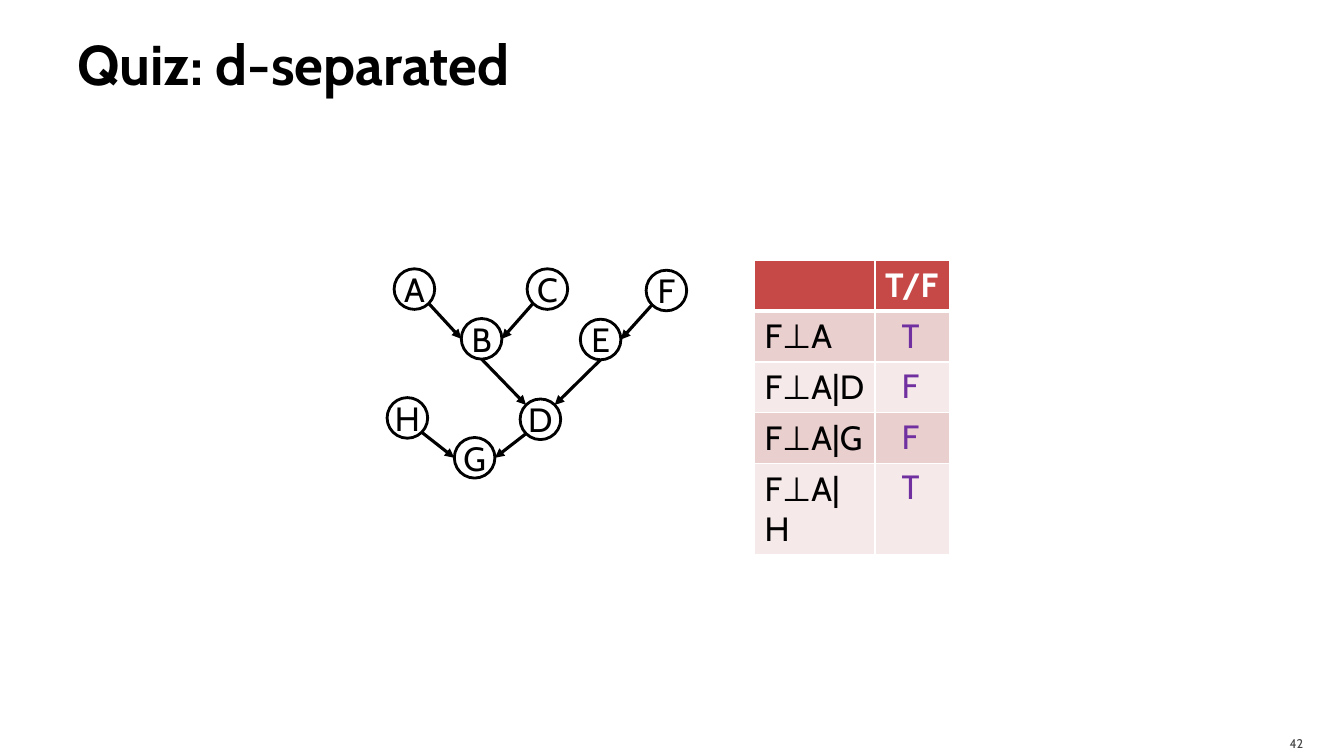
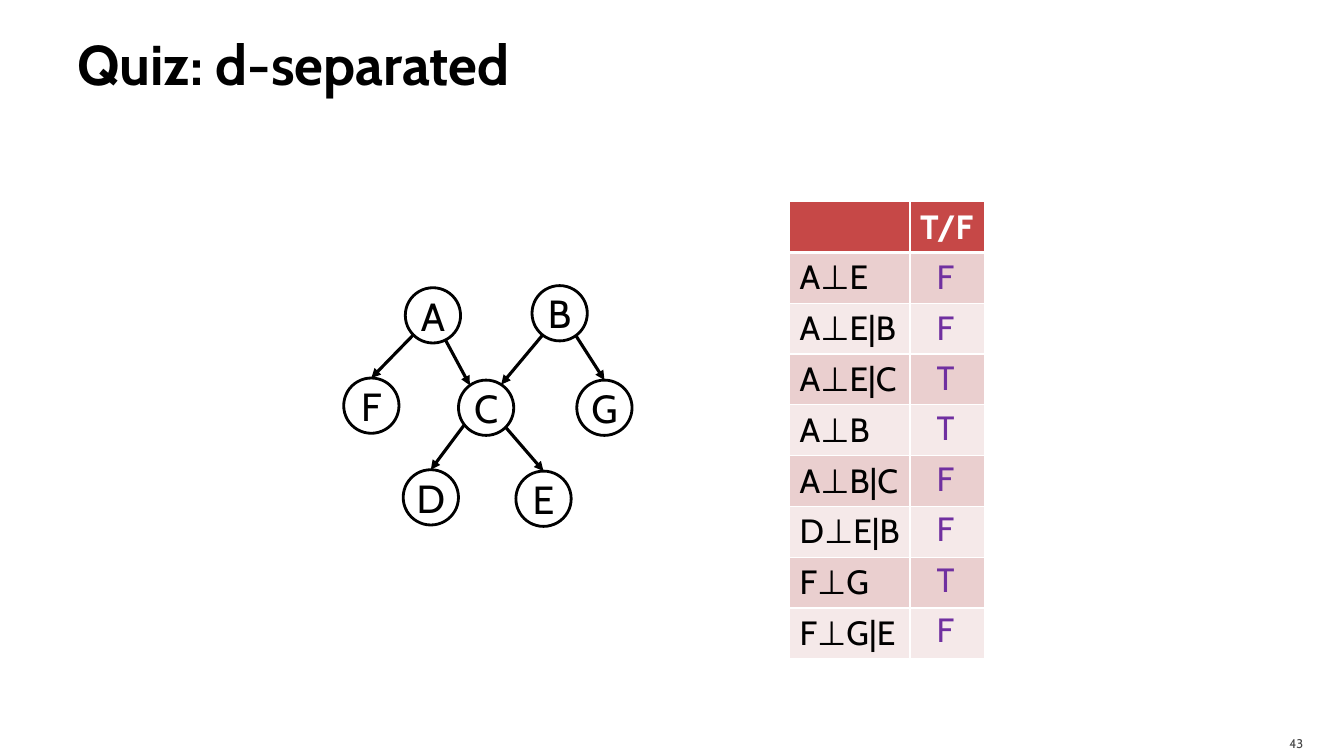
from math import cos, radians, sin

from lxml import etree
from pptx import Presentation
from pptx.dml.color import RGBColor
from pptx.enum import shapes, text
from pptx.oxml import ns
from pptx.util import Pt

BLACK = RGBColor(0x00, 0x00, 0x00)
WHITE = RGBColor(0xFF, 0xFF, 0xFF)
GREY = RGBColor(0x45, 0x45, 0x45)
PURPLE = RGBColor(0x70, 0x30, 0xA0)
RED = RGBColor(0xC6, 0x48, 0x47)
BANDS = (RGBColor(0xEA, 0xCF, 0xCF), RGBColor(0xF5, 0xE9, 0xE9))
FONT = "Cabin"

ROW_H = 36.3
COL_W = (86, 53)
ANSWER_X, ANSWER_Y, ANSWER_W, ANSWER_H = 98, 35.4, 26.6, 36

# Angles on a circle run clockwise from the right, in degrees
RIGHT, BOTTOM, LEFT, TOP = 0, 90, 180, 270
LOWER_RIGHT, LOWER_LEFT, UPPER_LEFT, UPPER_RIGHT = 45, 135, 225, 315
SITES = {TOP: 0, LEFT: 1, BOTTOM: 2, RIGHT: 3}


def add_run(p, words, size, color, bold=False):
    r = p.add_run()
    r.text = words
    f = r.font
    f.name, f.size, f.bold = FONT, Pt(size), bold
    f.color.rgb = color


def set_margins(tf, left, top, right, bottom):
    tf.margin_left, tf.margin_top = Pt(left), Pt(top)
    tf.margin_right, tf.margin_bottom = Pt(right), Pt(bottom)


def place(sp, left, top, width, height):
    sp.left, sp.top, sp.width, sp.height = Pt(left), Pt(top), Pt(width), Pt(height)


def base_slide(prs, title, number):
    """Slide with its title and page number."""
    s = prs.slides.add_slide(prs.slide_layouts[5])
    sp = s.shapes.title
    place(sp, 48, 6, 864, 78)
    tf = sp.text_frame
    tf.vertical_anchor = text.MSO_ANCHOR.MIDDLE
    set_margins(tf, 7.2, 3.6, 3.6, 3.6)
    p = tf.paragraphs[0]
    p.alignment = text.PP_ALIGN.LEFT
    add_run(p, title, 40, BLACK, True)

    tf = s.shapes.add_textbox(Pt(861), Pt(518.4), Pt(77), Pt(21.6)).text_frame
    tf.word_wrap = True
    tf.vertical_anchor = text.MSO_ANCHOR.MIDDLE
    set_margins(tf, 7.2, 3.6, 7.2, 0)
    p = tf.paragraphs[0]
    p.alignment = text.PP_ALIGN.RIGHT
    add_run(p, str(number), 9, GREY)
    return s


def add_node(s, kind, left, top, size, label, font_size):
    sp = s.shapes.add_shape(kind, Pt(left), Pt(top), Pt(size), Pt(size))
    if kind == shapes.MSO_SHAPE.ROUNDED_RECTANGLE:
        sp.adjustments[0] = 0.5
    sp.shadow.inherit = False
    sp.fill.background()
    sp.line.color.rgb = BLACK
    sp.line.width = Pt(2)
    tf = sp.text_frame
    tf.word_wrap = False
    tf.vertical_anchor = text.MSO_ANCHOR.MIDDLE
    set_margins(tf, 0, 0, 0, 0)
    p = tf.paragraphs[0]
    p.alignment = text.PP_ALIGN.CENTER
    add_run(p, label, font_size, BLACK)
    return sp


def rim_point(sp, angle):
    """Point on the round outline of a node."""
    radius = sp.width / 2
    a = radians(angle)
    return (int(sp.left + radius * (1 + cos(a))),
            int(sp.top + radius * (1 + sin(a))))


def add_arrow(s, start, start_angle, end, end_angle):
    c = s.shapes.add_connector(shapes.MSO_CONNECTOR.STRAIGHT,
                               *rim_point(start, start_angle),
                               *rim_point(end, end_angle))
    # Only rounded rectangles number their joining points as in SITES
    for sp, angle, join in ((start, start_angle, c.begin_connect),
                            (end, end_angle, c.end_connect)):
        if sp.auto_shape_type == shapes.MSO_SHAPE.ROUNDED_RECTANGLE and angle in SITES:
            join(sp, SITES[angle])
    c.line.color.rgb = BLACK
    c.line.width = Pt(2.25)
    etree.SubElement(c.line._get_or_add_ln(), ns.qn("a:tailEnd"), type="triangle")
    etree.SubElement(c._element.spPr, ns.qn("a:effectLst"))


def add_graph(s, left, top, kind, size, font_size, nodes, edges):
    """Directed graph; node places are relative to its corner."""
    placed = {label: add_node(s, kind, left + x, top + y, size, label, font_size)
              for label, (x, y) in nodes.items()}
    for start, start_angle, end, end_angle in edges:
        add_arrow(s, placed[start], start_angle, placed[end], end_angle)


def style_cell(cell, fill, bottom, top):
    tc_pr = cell._tc.get_or_add_tcPr()
    for side, width in (("L", 1), ("R", 1), ("T", top), ("B", bottom)):
        ln = etree.SubElement(tc_pr, ns.qn("a:ln" + side), w=str(Pt(width)))
        paint = etree.SubElement(ln, ns.qn("a:solidFill"))
        etree.SubElement(paint, ns.qn("a:srgbClr"), val=str(WHITE))
    cell.fill.solid()
    cell.fill.fore_color.rgb = fill


def add_quiz(s, left, top, rows):
    """Table of statements, with the answers laid over its second column."""
    n = len(rows) + 1
    tbl = s.shapes.add_table(n, 2, Pt(left), Pt(top), Pt(sum(COL_W)),
                             Pt(n * ROW_H)).table
    for col, width in zip(tbl.columns, COL_W):
        col.width = Pt(width)
    for i, row in enumerate(tbl.rows):
        row.height = Pt(ROW_H)
        for cell in row.cells:
            style_cell(cell, BANDS[(i - 1) % 2] if i else RED,
                       bottom=1 if i else 3, top=3 if i == 1 else 1)
    add_run(tbl.cell(0, 1).text_frame.paragraphs[0], "T/F", 24, WHITE, True)

    for i, (statement, answer) in enumerate(rows):
        add_run(tbl.cell(i + 1, 0).text_frame.paragraphs[0], statement, 24, BLACK)
        tf = s.shapes.add_textbox(Pt(left + ANSWER_X), Pt(top + ANSWER_Y + i * ANSWER_H),
                                  Pt(ANSWER_W), Pt(ANSWER_H)).text_frame
        tf.word_wrap = False
        tf.auto_size = text.MSO_AUTO_SIZE.SHAPE_TO_FIT_TEXT
        add_run(tf.paragraphs[0], answer, 24, PURPLE)


def collider_quiz(prs):
    s = base_slide(prs, "Quiz: d-separated", 42)
    add_quiz(s, 539, 186, [("F⊥A", "T"), ("F⊥A|D", "F"), ("F⊥A|G", "F"), ("F⊥A|H", "T")])
    add_graph(
        s, 276.5, 192, shapes.MSO_SHAPE.OVAL, 29, 24,
        {"A": (5, 0), "B": (53, 35.5), "C": (100, 0), "D": (95, 93),
         "E": (138, 36), "F": (185, 1), "H": (0, 92), "G": (48, 120.5)},
        [("A", LOWER_RIGHT, "B", LEFT), ("C", LOWER_LEFT, "B", RIGHT),
         ("B", BOTTOM, "D", UPPER_LEFT), ("F", LOWER_LEFT, "E", RIGHT),
         ("E", BOTTOM, "D", UPPER_RIGHT), ("H", LOWER_RIGHT, "G", LEFT),
         ("D", LOWER_LEFT, "G", RIGHT)])


def two_parent_quiz(prs):
    s = base_slide(prs, "Quiz: d-separated", 43)
    add_quiz(s, 564, 144, [("A⊥E", "F"), ("A⊥E|B", "F"), ("A⊥E|C", "T"), ("A⊥B", "T"),
                           ("A⊥B|C", "F"), ("D⊥E|B", "F"), ("F⊥G", "T"), ("F⊥G|E", "F")])
    add_graph(
        s, 245.5, 204, shapes.MSO_SHAPE.ROUNDED_RECTANGLE, 39.5, 28,
        {"A": (44, 1.5), "B": (134.5, 0), "C": (82, 67.5), "D": (42.5, 131.5),
         "E": (123, 132.5), "F": (0, 66), "G": (166.5, 67.5)},
        [("A", LOWER_LEFT, "F", TOP), ("A", 63, "C", 234),
         ("B", 128, "C", 303), ("B", 54, "G", TOP),
         ("C", 142, "D", TOP), ("C", LOWER_RIGHT, "E", TOP)])


def main():
    prs = Presentation()
    prs.slide_width, prs.slide_height = Pt(960), Pt(540)
    collider_quiz(prs)
    two_parent_quiz(prs)
    prs.save("out.pptx")


if __name__ == "__main__":
    main()
